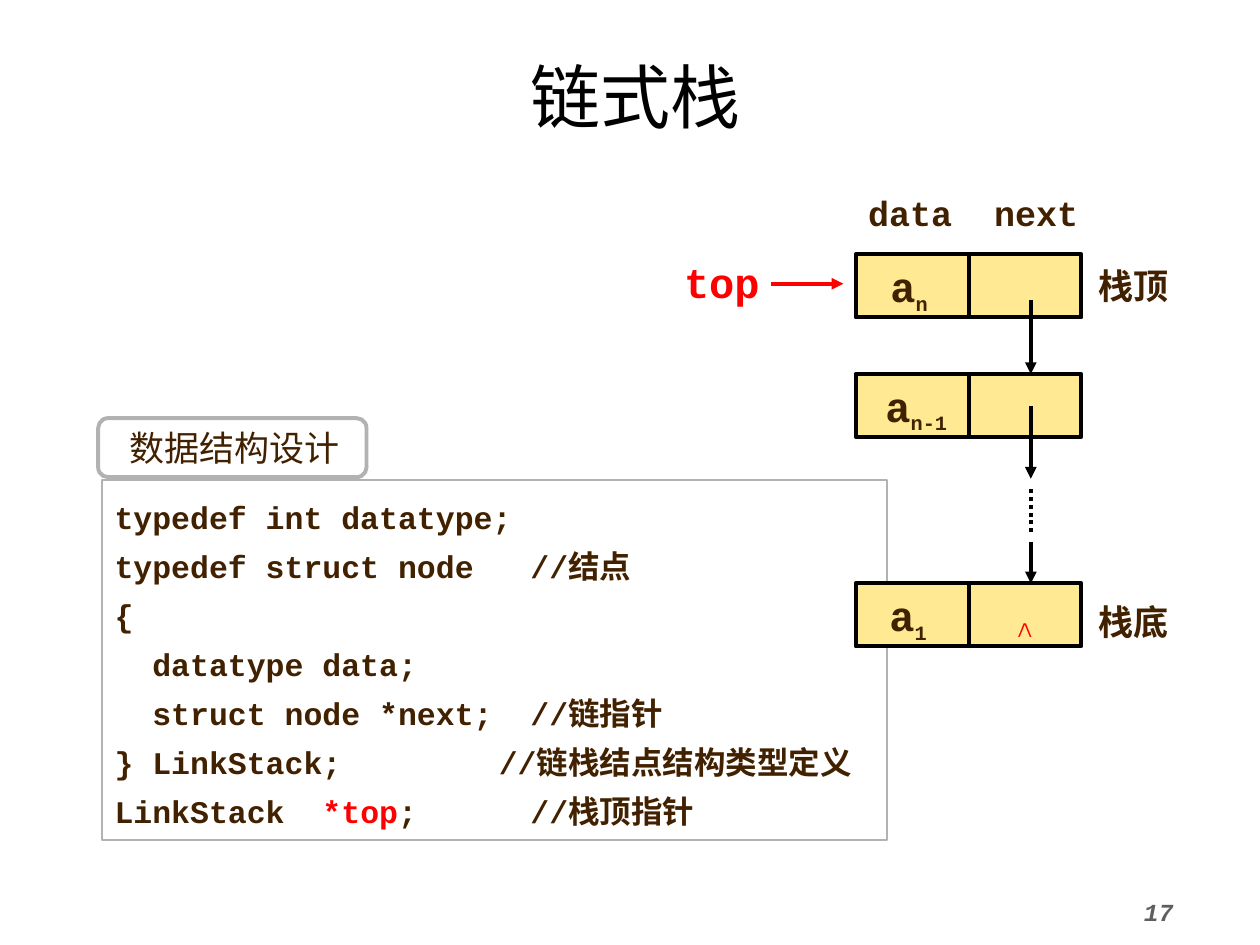
"""Build the linked stack slide: node diagram and data structure code."""
from dataclasses import dataclass

from lxml import etree
from pptx import Presentation
from pptx.dml.color import RGBColor
from pptx.enum import dml, shapes, text
from pptx.oxml import ns
from pptx.util import Cm, Pt


@dataclass(frozen=True)
class Theme:
    font: str = "Courier New"
    brown: str = "422100"
    red: str = "FF0000"
    black: str = "000000"
    white: str = "FFFFFF"
    grey: str = "B2B2B2"
    number: str = "5F5F5F"
    node: str = "FFEA93"
    title_size: int = 40
    name_size: int = 24
    label_size: int = 20
    code_size: int = 18
    number_size: int = 14
    stroke: float = 2.25


theme = Theme()
deck = Presentation()
deck.slide_width, deck.slide_height = Cm(25.4), Cm(19.05)
page = deck.slides.add_slide(deck.slide_layouts[6])


def add_box(place, runs, size, color=theme.brown, bold=True, fill=None, line=None,
            width=theme.stroke, kind=shapes.MSO_SHAPE.RECTANGLE):
    place = [Cm(value) for value in place]
    if fill:
        box = page.shapes.add_shape(kind, *place)
        box.shadow.inherit = False
        box.fill.solid()
        box.fill.fore_color.rgb = RGBColor.from_string(fill)
        box.line.color.rgb = RGBColor.from_string(line)
        box.line.width = Pt(width)
    else:
        box = page.shapes.add_textbox(*place)
    frame = box.text_frame
    frame.word_wrap = True
    frame.vertical_anchor = text.MSO_ANCHOR.TOP
    frame.text = runs
    for para in frame.paragraphs:
        para.alignment = text.PP_ALIGN.LEFT
        for span in para.runs:
            span.font.name, span.font.size, span.font.bold = theme.font, Pt(size), bold
            span.font.color.rgb = RGBColor.from_string(color)
    return box


def add_line(start, end, color=theme.black, arrow=False):
    line = page.shapes.add_connector(
        shapes.MSO_CONNECTOR.STRAIGHT, *[Cm(value) for value in (*start, *end)])
    line.line.color.rgb = RGBColor.from_string(color)
    line.line.width = Pt(theme.stroke)
    if arrow:
        etree.SubElement(line.line._get_or_add_ln(), ns.qn("a:tailEnd"), type="triangle")
    etree.SubElement(line._element.spPr, ns.qn("a:effectLst"))
    return line


number = add_box((22.81, 17.96, 2.59, 1.09), "17", theme.number_size, theme.number)
number.text_frame.paragraphs[0].runs[0].font.italic = True

code_lines = [
    "typedef int datatype;",
    "typedef struct node   //结点",
    "{",
    "  datatype data;",
    "  struct node *next;  //链指针",
    "} LinkStack; \t       //链栈结点结构类型定义",
    "LinkStack  ",
]
code = add_box((2.06, 9.68, 15.82, 7.26), "\n".join(code_lines), theme.code_size,
               fill=theme.white, line=theme.grey, width=1)
for para in code.text_frame.paragraphs:
    para.line_spacing = 1.3
for wording, color in (("*top", theme.red), (";      //栈顶指针", theme.brown)):
    span = para.add_run()
    span.text = wording
    span.font.name, span.font.size, span.font.bold = theme.font, Pt(theme.code_size), True
    span.font.color.rgb = RGBColor.from_string(color)

node_left, node_width, node_height = 17.25, 4.55, 1.27
divider, link = 19.53, 20.78
for top, index, left in ((5.13, "n", 17.7), (7.54, "n-1", 17.6), (11.76, "1", 17.68)):
    add_box((node_left, top, node_width, node_height), "", theme.label_size,
            fill=theme.node, line=theme.black)
    add_line((divider, top), (divider, top + node_height))
    name = add_box((left, top, 2.29, node_height), "a", theme.name_size)
    span = name.text_frame.paragraphs[0].add_run()
    span.text = index
    span.font.name, span.font.size, span.font.bold = theme.font, Pt(theme.label_size), True
    span.font.color.rgb = RGBColor.from_string(theme.brown)
    span.font._element.set("baseline", "-25000")

for start, end in ((6.05, 7.54), (8.18, 9.65), (10.92, 11.76)):
    add_line((link, start), (link, end), arrow=True)
add_line((15.54, 5.72), (17.0, 5.72), theme.red, arrow=True)
dots = add_line((link, 9.86), (link, 10.72))
dots.line.dash_style = dml.MSO_LINE.ROUND_DOT

fields = add_box((17.25, 3.73, 5.79, 1.09), "data\tnext", theme.label_size)
stops = etree.Element(ns.qn("a:tabLst"))
etree.SubElement(stops, ns.qn("a:tab"), pos=str(Cm(2.54)), algn="l")
fields.text_frame.paragraphs[0]._p.get_or_add_pPr().insert(0, stops)

add_box((13.54, 5.05, 3.45, 1.27), "top", theme.name_size, theme.red)
for top, wording in ((5.21, "栈顶"), (11.99, "栈底")):
    add_box((21.89, top, 2.69, 1.09), wording, theme.label_size)

null = add_box((19.96, 12.09, 1.4, 1.02), "∧", theme.code_size, theme.red)
title = add_box((0.69, 0.94, 24.23, 1.96), "链式栈", theme.title_size, theme.black, bold=False)
heading = add_box((1.98, 8.43, 5.41, 1.19), "数据结构设计", theme.label_size, bold=False,
                  fill=theme.white, line=theme.grey, kind=shapes.MSO_SHAPE.ROUNDED_RECTANGLE)
heading.text_frame.margin_right = Cm(0.48)
for box, alignment in ((null, text.PP_ALIGN.CENTER), (title, text.PP_ALIGN.CENTER),
                       (heading, text.PP_ALIGN.RIGHT)):
    box.text_frame.vertical_anchor = text.MSO_ANCHOR.MIDDLE
    box.text_frame.paragraphs[0].alignment = alignment

deck.save("out.pptx")
